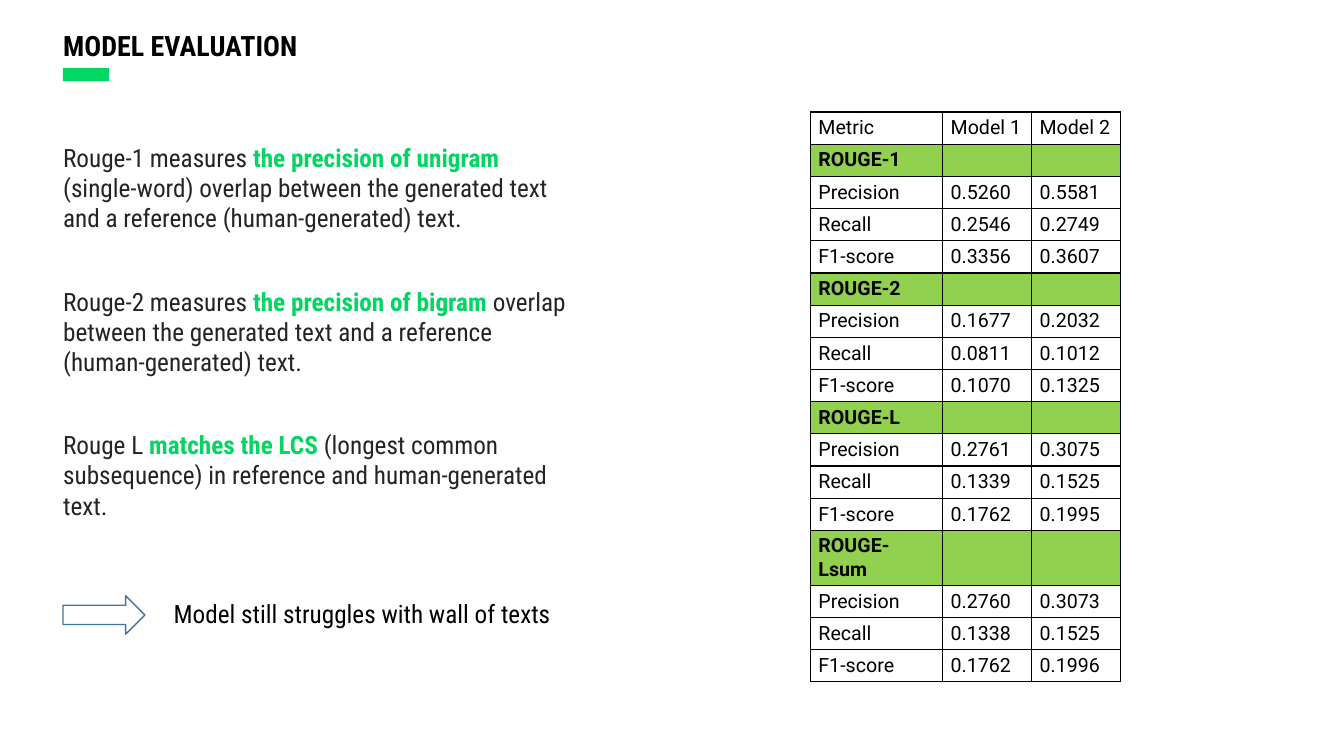
from dataclasses import dataclass

from lxml.etree import SubElement
from pptx import Presentation
from pptx.dml.color import RGBColor
from pptx.enum.shapes import MSO_SHAPE
from pptx.enum.text import MSO_ANCHOR, MSO_AUTO_SIZE
from pptx.oxml.ns import qn
from pptx.util import Pt


@dataclass(frozen=True)
class Theme:
    black: RGBColor = RGBColor.from_string("000000")
    body: RGBColor = RGBColor.from_string("242424")
    accent: RGBColor = RGBColor.from_string("00D661")
    band: RGBColor = RGBColor.from_string("92D050")
    arrow: RGBColor = RGBColor.from_string("43739E")
    text_font: str = "Roboto Condensed"
    table_font: str = "Roboto"
    title_size: int = 20
    body_size: int = 18
    table_size: int = 14


def set_attributes(target, values):
    for name, value in values.items():
        setattr(target, name, value)


class SlideBuilder:
    def __init__(self, slide, theme):
        self.slide = slide
        self.theme = theme

    def add_run(self, paragraph, text, color, size, font, bold=False):
        run = paragraph.add_run()
        run.text = text
        set_attributes(run.font, {"name": font, "size": Pt(size), "bold": bold})
        run.font.color.rgb = color

    def add_text(self, left, top, width, height, runs, size, wrap=True):
        """Add a text box; runs holds (text, color, bold) triples."""
        box = self.slide.shapes.add_textbox(Pt(left), Pt(top), Pt(width), Pt(height))
        frame = box.text_frame
        set_attributes(frame, {"word_wrap": wrap, "auto_size": MSO_AUTO_SIZE.SHAPE_TO_FIT_TEXT})
        for text, color, bold in runs:
            self.add_run(frame.paragraphs[0], text, color, size, self.theme.text_font, bold)

    def add_shape(self, kind, left, top, width, height, fill=None, line=None):
        shape = self.slide.shapes.add_shape(kind, Pt(left), Pt(top), Pt(width), Pt(height))
        shape.shadow.inherit = False
        if fill is None:
            shape.fill.background()
        else:
            shape.fill.solid()
            shape.fill.fore_color.rgb = fill
        if line is None:
            shape.line.fill.background()
        else:
            shape.line.color.rgb = line
            shape.line.width = Pt(1)

    def add_borders(self, cell):
        properties = cell._tc.get_or_add_tcPr()
        for side in ("a:lnL", "a:lnR", "a:lnT", "a:lnB"):
            border = SubElement(properties, qn(side), w=str(Pt(1)))
            fill = SubElement(border, qn("a:solidFill"))
            SubElement(fill, qn("a:srgbClr"), val=str(self.theme.black))

    def fill_cell(self, cell, text, is_band):
        theme = self.theme
        set_attributes(cell, {
            "vertical_anchor": MSO_ANCHOR.MIDDLE,
            "margin_left": Pt(5.6), "margin_right": Pt(5.6),
            "margin_top": Pt(2.8), "margin_bottom": Pt(2.8),
        })
        self.add_borders(cell)
        if is_band:
            cell.fill.solid()
            cell.fill.fore_color.rgb = theme.band
        else:
            cell.fill.background()
        paragraph = cell.text_frame.paragraphs[0]
        if text:
            self.add_run(paragraph, text, theme.black, theme.table_size, theme.table_font, is_band)
        else:
            # An empty cell keeps the table's type size, so its row does not grow.
            paragraph._p.get_or_add_endParaRPr().set("sz", str(theme.table_size * 100))

    def add_table(self, left, top, column_widths, row_height, rows):
        """Add a bordered table; a row with only its first cell becomes a band."""
        count = len(column_widths)
        table = self.slide.shapes.add_table(
            len(rows), count, Pt(left), Pt(top),
            Pt(sum(column_widths)), Pt(row_height * len(rows))).table
        set_attributes(table, {"first_row": False, "horz_banding": False})
        for column, width in zip(table.columns, column_widths):
            column.width = Pt(width)
        for row, values in zip(table.rows, rows):
            row.height = Pt(row_height)
            is_band = len(values) == 1
            texts = list(values) + [""] * (count - len(values))
            for cell, text in zip(row.cells, texts):
                self.fill_cell(cell, text, is_band)


METRICS = ("Precision", "Recall", "F1-score")
SCORES = {
    "ROUGE-1": (("0.5260", "0.5581"), ("0.2546", "0.2749"), ("0.3356", "0.3607")),
    "ROUGE-2": (("0.1677", "0.2032"), ("0.0811", "0.1012"), ("0.1070", "0.1325")),
    "ROUGE-L": (("0.2761", "0.3075"), ("0.1339", "0.1525"), ("0.1762", "0.1995")),
    "ROUGE-Lsum": (("0.2760", "0.3073"), ("0.1338", "0.1525"), ("0.1762", "0.1996")),
}
EXPLANATIONS = (
    ("Rouge-1 measures ", "the precision of unigram ",
     "(single-word) overlap between the generated text and a reference (human-generated) text."),
    ("Rouge-2 measures ", "the precision of bigram ",
     "overlap between the generated text and a reference (human-generated) text."),
    ("Rouge L ", "matches the LCS ",
     "(longest common subsequence) in reference and human-generated text."),
)


def main():
    presentation = Presentation()
    set_attributes(presentation, {"slide_width": Pt(960), "slide_height": Pt(540)})
    theme = Theme()
    builder = SlideBuilder(presentation.slides.add_slide(presentation.slide_layouts[6]), theme)

    builder.add_text(38, 16.8, 186, 31.5, [("MODEL EVALUATION", theme.black, True)],
                     theme.title_size, wrap=False)
    builder.add_shape(MSO_SHAPE.RECTANGLE, 45, 48.5, 33, 9.5, fill=theme.accent)

    rows = [("Metric", "Model 1", "Model 2")]
    for name, scores in SCORES.items():
        rows.append((name,))
        rows.extend((metric, *values) for metric, values in zip(METRICS, scores))
    builder.add_table(579, 80, (94.5, 63.5, 63.5), 23, rows)

    for index, (start, key_phrase, rest) in enumerate(EXPLANATIONS):
        runs = [(start, theme.body, False), (key_phrase, theme.accent, True),
                (rest, theme.body, False)]
        builder.add_text(38, 98 + index * 102.6, 381, 72.7, runs, theme.body_size)

    builder.add_shape(MSO_SHAPE.RIGHT_ARROW, 45, 425.5, 58.5, 27.5, line=theme.arrow)
    builder.add_text(117, 423.5, 287, 29,
                     [("Model still struggles with wall of texts", theme.black, False)],
                     theme.body_size, wrap=False)

    presentation.save("out.pptx")


if __name__ == "__main__":
    main()
